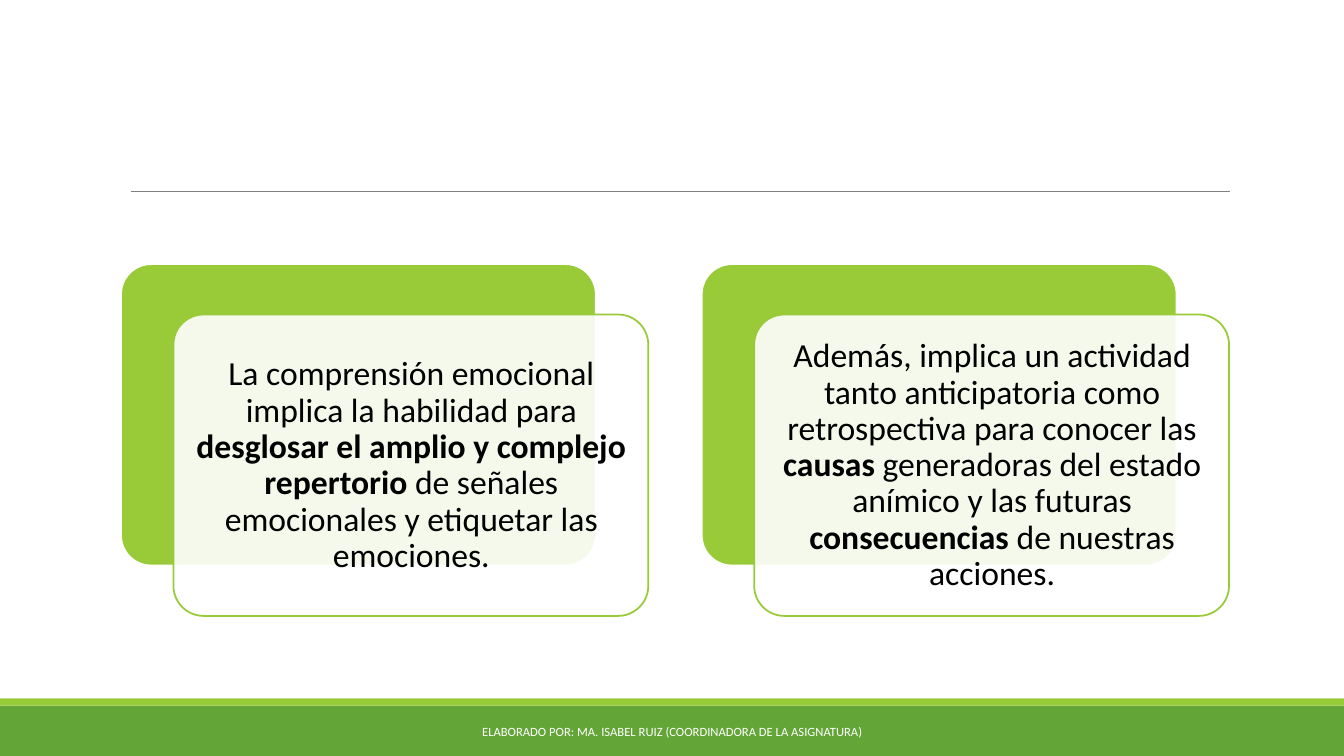
from lxml.etree import SubElement as Sub
from pptx import Presentation
from pptx.dml.color import RGBColor
from pptx.enum.shapes import MSO_CONNECTOR as Link, MSO_SHAPE as Kind
from pptx.enum.text import MSO_ANCHOR as Anchor, PP_ALIGN as Align
from pptx.oxml.ns import qn
from pptx.util import Inches, Pt

LIME, GREEN, GRAY, WHITE, BLACK = "99CB38", "63A537", "808080", "FFFFFF", "000000"


def color(code):
    return RGBColor.from_string(code)


def write(frame, runs, size=24, ink=BLACK, font="Calibri", space=1.0, pad=0.1):
    frame.word_wrap = True
    frame.vertical_anchor = Anchor.MIDDLE
    frame.margin_left = frame.margin_right = Inches(0.1)
    frame.margin_top = frame.margin_bottom = Inches(pad)
    line = frame.paragraphs[0]
    line.alignment = Align.CENTER
    line.line_spacing = space
    for text, bold in runs:
        run = line.add_run()
        run.text = text
        run.font.name = font
        run.font.size = Pt(size)
        run.font.bold = bold
        run.font.color.rgb = color(ink)


class Canvas:
    edge = 1.25
    curve = 0.1

    def __init__(self, slide):
        self.shapes = slide.shapes

    def shape(self, kind, box, fill):
        item = self.shapes.add_shape(kind, *map(Inches, box))
        item.shadow.inherit = False
        item.fill.solid()
        item.fill.fore_color.rgb = color(fill)
        return item

    def band(self, box, fill):
        self.shape(Kind.RECTANGLE, box, fill).line.fill.background()

    def card(self, box, fill, edge, alpha=100):
        item = self.shape(Kind.ROUNDED_RECTANGLE, box, fill)
        item.adjustments[0] = self.curve
        item.line.color.rgb = color(edge)
        item.line.width = Pt(self.edge)
        if alpha < 100:
            tone = item.fill._xPr.find(qn("a:solidFill"))[0]
            Sub(tone, qn("a:alpha"), val=str(alpha * 1000))

    def rule(self, left, right, top):
        item = self.shapes.add_connector(
            Link.STRAIGHT, Inches(left), Inches(top), Inches(right), Inches(top))
        item.line.color.rgb = color(GRAY)
        item.line.width = Pt(0.5)
        Sub(item._element.spPr, qn("a:effectLst"))

    def text(self, box, runs, **form):
        item = self.shapes.add_textbox(*map(Inches, box))
        write(item.text_frame, runs, **form)


def main():
    deck = Presentation()
    deck.slide_width, deck.slide_height = Inches(13.33), Inches(7.5)
    page = Canvas(deck.slides.add_slide(deck.slide_layouts[6]))

    page.band((0, 7, 13.33, 0.5), GREEN)
    page.band((0, 6.93, 13.33, 0.07), LIME)
    page.rule(1.3, 12.2, 1.9)

    ideas = [
        [("La comprensión emocional implica la habilidad para ", False),
         ("desglosar el amplio y complejo repertorio ", True),
         ("de señales emocionales y etiquetar las emociones.", False)],
        [("Además, implica un actividad tanto anticipatoria como "
          "retrospectiva para conocer las ", False),
         ("causas", True),
         (" generadoras del estado anímico y las futuras ", False),
         ("consecuencias", True),
         (" de nuestras acciones.", False)],
    ]
    wide, high, top = 4.71, 2.99, 2.62
    for spot, runs in enumerate(ideas):
        left = 1.2 + 5.76 * spot
        page.card((left, top, wide, high), LIME, WHITE)
        page.card((left + 0.52, top + 0.5, wide, high), WHITE, LIME, alpha=90)
        page.text((left + 0.61, top + 0.59, 4.54, 2.82), runs, space=0.9)

    page.text((4.03, 7.06, 5.27, 0.4),
              [("ELABORADO POR: MA. ISABEL RUIZ (COORDINADORA DE LA ASIGNATURA)", False)],
              size=9, ink=WHITE, pad=0.05)
    deck.save("out.pptx")


if __name__ == "__main__":
    main()
